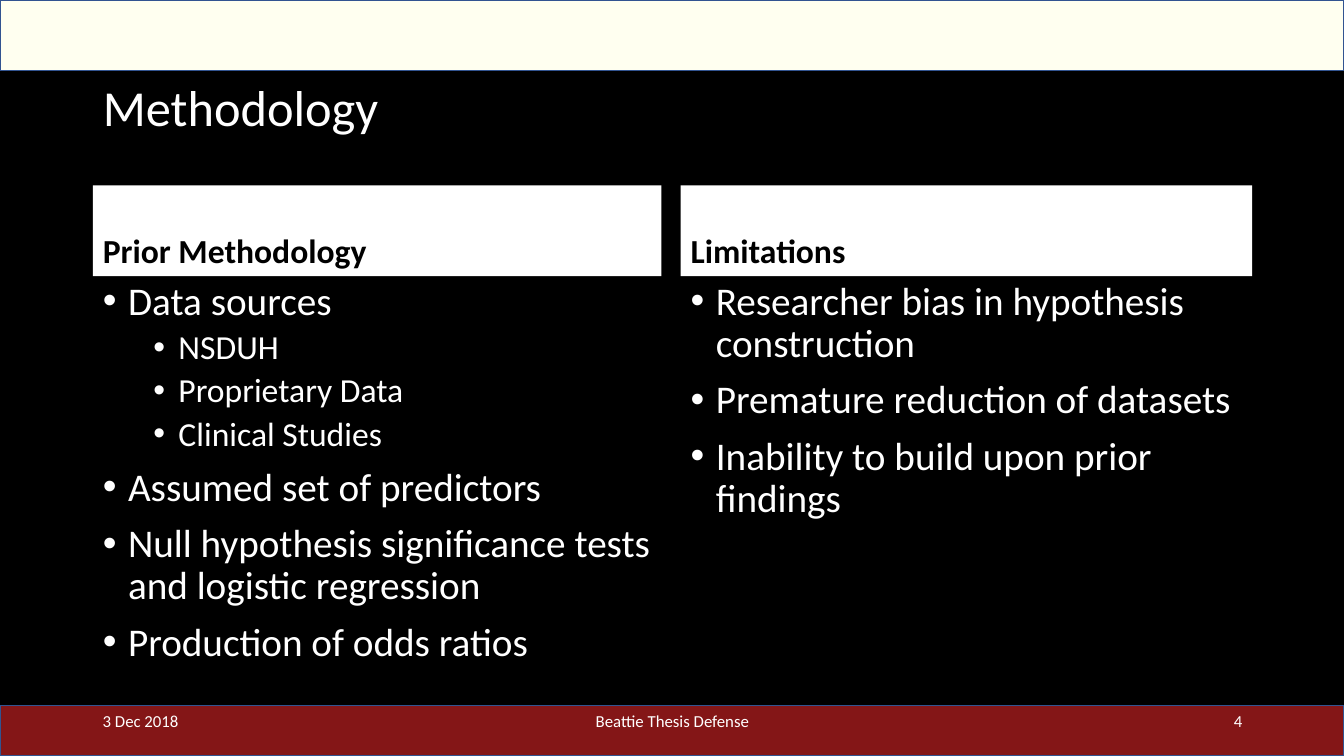
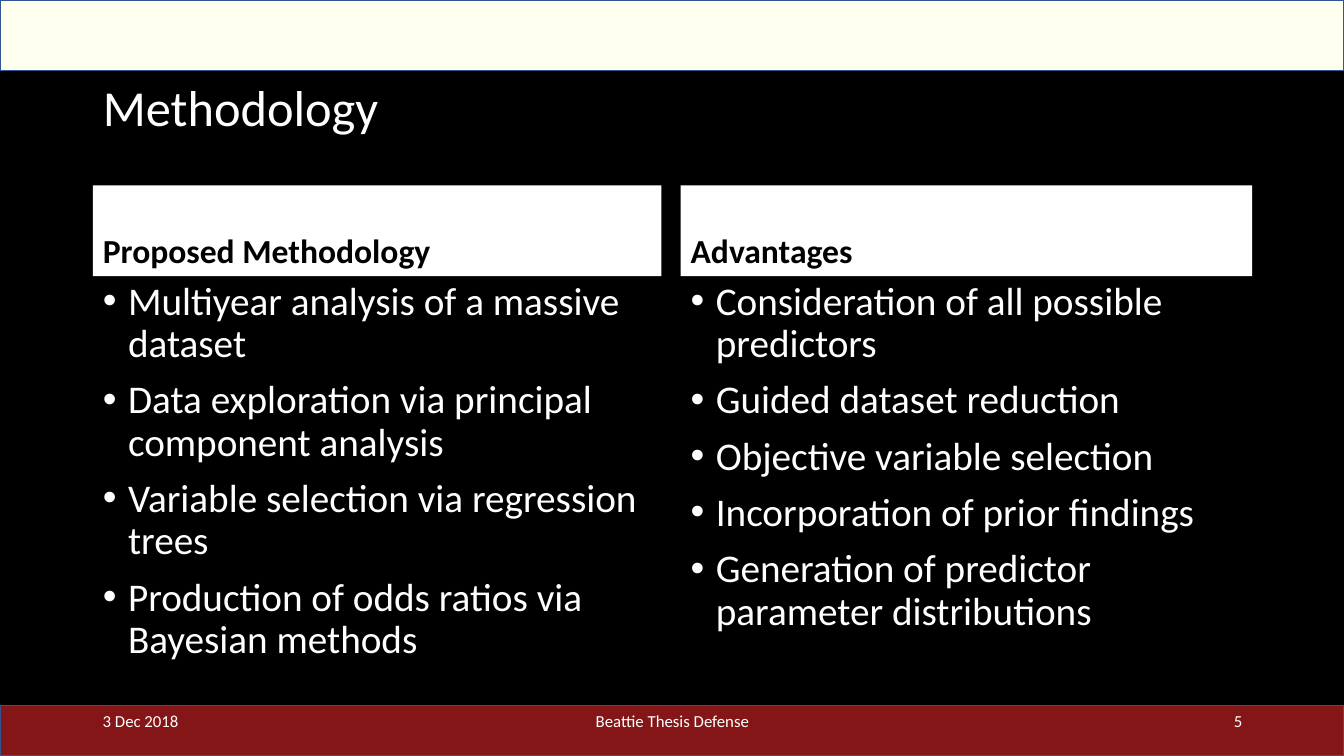
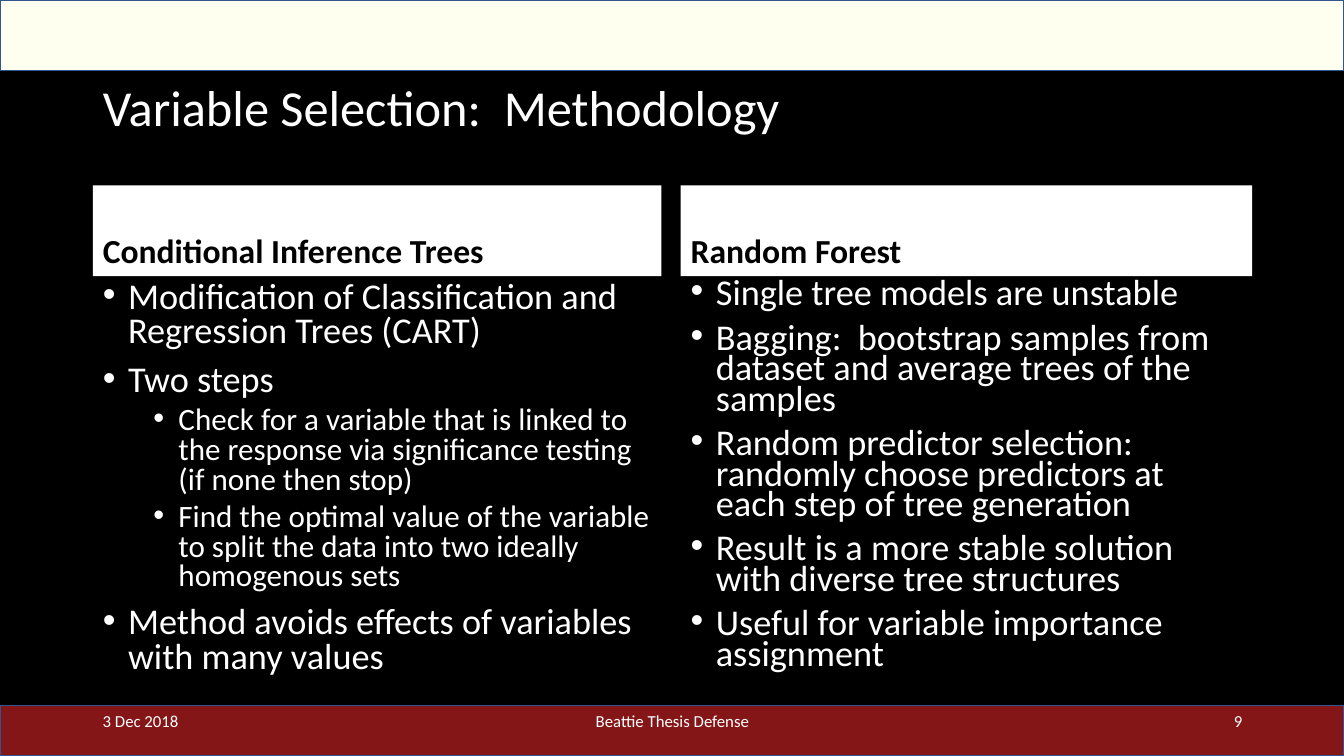
from dataclasses import dataclass

from lxml.etree import SubElement
from pptx import Presentation
from pptx.dml.color import RGBColor
from pptx.enum.shapes import MSO_SHAPE
from pptx.enum.text import MSO_ANCHOR, MSO_AUTO_SIZE, PP_ALIGN
from pptx.oxml.ns import qn
from pptx.presentation import Presentation as Deck
from pptx.slide import Slide, SlideLayout
from pptx.text.text import TextFrame
from pptx.util import Inches, Pt


@dataclass(frozen=True)
class Theme:
    font: str = "Calibri"
    background: RGBColor = RGBColor(0x00, 0x00, 0x00)
    light: RGBColor = RGBColor(0xFF, 0xFF, 0xFF)
    dark: RGBColor = RGBColor(0x00, 0x00, 0x00)
    top_band: RGBColor = RGBColor(0xFF, 0xFF, 0xF0)
    bottom_band: RGBColor = RGBColor(0x84, 0x16, 0x17)
    band_line: RGBColor = RGBColor(0x32, 0x54, 0x91)
    title_size: float = 36
    heading_size: float = 24
    bullet_sizes: tuple[float, float] = (28, 24)
    tight_bullet_sizes: tuple[float, float] = (25.9, 22.2)
    footer_size: float = 12


@dataclass(frozen=True)
class Box:
    left: float
    top: float
    width: float
    height: float

    def lengths(self) -> tuple[Inches, Inches, Inches, Inches]:
        return Inches(self.left), Inches(self.top), Inches(self.width), Inches(self.height)


@dataclass(frozen=True)
class Style:
    size: float
    color: RGBColor
    bold: bool = False
    alignment: PP_ALIGN = PP_ALIGN.LEFT
    line_spacing: float = 1.0
    space_before: float = 0


@dataclass(frozen=True)
class Bullet:
    text: str
    level: int = 0


@dataclass(frozen=True)
class Column:
    heading: str
    bullets: list[Bullet]
    sizes: tuple[float, float]
    line_spacing: float = 0.9


@dataclass(frozen=True)
class Comparison:
    title: str
    number: int
    columns: tuple[Column, Column]


@dataclass(frozen=True)
class FooterItem:
    text: str
    left: float
    width: float
    alignment: PP_ALIGN


THEME = Theme()
SLIDE_WIDTH, SLIDE_HEIGHT = 13.33, 7.5
MARGIN = 0.92
HEADING_TOP, HEADING_HEIGHT, LIST_HEIGHT = 1.84, 0.9, 4.03
COLUMN_SPANS = ((MARGIN, 5.64), (6.75, 5.67))
TITLE_BOX = Box(MARGIN, 0.77, 11.5, 0.82)
BANDS = (
    (Box(0, 7, SLIDE_WIDTH, 0.5), THEME.bottom_band),
    (Box(0, 0, SLIDE_WIDTH, 0.7), THEME.top_band),
)
COMPARISON_LAYOUT = 4
HEADING_INDEXES, LIST_INDEXES = (1, 3), (2, 4)

SLIDES = [
    Comparison("Methodology", 4, (
        Column("Prior Methodology", [
            Bullet("Data sources"),
            Bullet("NSDUH", 1),
            Bullet("Proprietary Data", 1),
            Bullet("Clinical Studies", 1),
            Bullet("Assumed set of predictors"),
            Bullet("Null hypothesis significance tests and logistic regression"),
            Bullet("Production of odds ratios"),
        ], THEME.bullet_sizes),
        Column("Limitations", [
            Bullet("Researcher bias in hypothesis construction"),
            Bullet("Premature reduction of datasets"),
            Bullet("Inability to build upon prior findings"),
        ], THEME.bullet_sizes),
    )),
    Comparison("Methodology", 5, (
        Column("Proposed Methodology", [
            Bullet("Multiyear analysis of a massive dataset"),
            Bullet("Data exploration via principal component analysis"),
            Bullet("Variable selection via regression trees"),
            Bullet("Production of odds ratios via Bayesian methods"),
        ], THEME.bullet_sizes),
        Column("Advantages", [
            Bullet("Consideration of all possible predictors"),
            Bullet("Guided dataset reduction"),
            Bullet("Objective variable selection"),
            Bullet("Incorporation of prior findings"),
            Bullet("Generation of predictor parameter distributions"),
        ], THEME.bullet_sizes),
    )),
    Comparison("Variable Selection:  Methodology", 9, (
        Column("Conditional Inference Trees", [
            Bullet("Modification of Classification and Regression Trees (CART)"),
            Bullet("Two steps"),
            Bullet("Check for a variable that is linked to the response via "
                   "significance testing (if none then stop)", 1),
            Bullet("Find the optimal value of the variable to split the data into "
                   "two ideally homogenous sets", 1),
            Bullet("Method avoids effects of variables with many values"),
        ], THEME.tight_bullet_sizes, 0.8),
        Column("Random Forest", [
            Bullet("Single tree models are unstable"),
            Bullet("Bagging:  bootstrap samples from dataset and average trees of the samples"),
            Bullet("Random predictor selection:  randomly choose predictors at "
                   "each step of tree generation"),
            Bullet("Result is a more stable solution with diverse tree structures"),
            Bullet("Useful for variable importance assignment"),
        ], THEME.tight_bullet_sizes, 0.7),
    )),
]


def prepare_frame(frame: TextFrame, anchor: MSO_ANCHOR) -> None:
    frame.word_wrap = True
    frame.auto_size = MSO_AUTO_SIZE.NONE
    frame.vertical_anchor = anchor


def write_paragraph(frame: TextFrame, position: int, text: str, style: Style,
                    bullet_level: int | None = None) -> None:
    """Write the paragraph at a position; without a bullet level it has no indent."""
    paragraph = frame.add_paragraph() if position else frame.paragraphs[0]
    paragraph.alignment = style.alignment
    paragraph.line_spacing = style.line_spacing
    paragraph.space_before = Pt(style.space_before)
    run = paragraph.add_run()
    run.text = text
    run.font.name = THEME.font
    run.font.size = Pt(style.size)
    run.font.bold = style.bold
    run.font.color.rgb = style.color

    margin, indent = 0.0, 0.0
    if bullet_level is not None:
        paragraph.level = bullet_level
        margin, indent = 0.25 + 0.5 * bullet_level, -0.25
    properties = paragraph._p.get_or_add_pPr()
    properties.set("marL", str(Inches(margin)))
    properties.set("indent", str(Inches(indent)))
    if bullet_level is not None:
        SubElement(properties, qn("a:buFont"), typeface="Arial")
        SubElement(properties, qn("a:buChar"), char="•")


def set_up_layout(layout: SlideLayout) -> None:
    """Give the layout's title, headings and lists their shared places."""
    boxes = {0: TITLE_BOX}
    for (left, width), heading, bullets in zip(COLUMN_SPANS, HEADING_INDEXES, LIST_INDEXES):
        boxes[heading] = Box(left, HEADING_TOP, width, HEADING_HEIGHT)
        boxes[bullets] = Box(left, HEADING_TOP + HEADING_HEIGHT, width, LIST_HEIGHT)
    for placeholder in layout.placeholders:
        box = boxes.get(placeholder.placeholder_format.idx)
        if box:
            (placeholder.left, placeholder.top,
             placeholder.width, placeholder.height) = box.lengths()


def add_master_bands(presentation: Deck, slide: Slide) -> None:
    """Draw the bands on a slide, then move them behind everything on the master."""
    master_tree = presentation.slide_master.shapes.element
    for position, (box, color) in enumerate(BANDS):
        band = slide.shapes.add_shape(MSO_SHAPE.RECTANGLE, *box.lengths())
        band.shadow.inherit = False
        band.fill.solid()
        band.fill.fore_color.rgb = color
        band.line.color.rgb = THEME.band_line
        band.line.width = Pt(1)
        band.element.nvSpPr.cNvPr.set("id", str(100 + position))
        master_tree.insert(2 + position, band.element)


def fill_title(slide: Slide, title: str) -> None:
    frame = slide.shapes.title.text_frame
    prepare_frame(frame, MSO_ANCHOR.TOP)
    write_paragraph(frame, 0, title, Style(THEME.title_size, THEME.light, line_spacing=0.9))


def fill_column(slide: Slide, column: Column, heading_index: int, list_index: int) -> None:
    placeholders = {item.placeholder_format.idx: item for item in slide.placeholders}
    heading = placeholders[heading_index]
    heading.fill.solid()
    heading.fill.fore_color.rgb = THEME.light
    prepare_frame(heading.text_frame, MSO_ANCHOR.BOTTOM)
    write_paragraph(heading.text_frame, 0, column.heading,
                    Style(THEME.heading_size, THEME.dark, bold=True,
                          line_spacing=0.9, space_before=10))

    frame = placeholders[list_index].text_frame
    prepare_frame(frame, MSO_ANCHOR.TOP)
    for position, bullet in enumerate(column.bullets):
        style = Style(column.sizes[bullet.level], THEME.light,
                      line_spacing=column.line_spacing,
                      space_before=5 if bullet.level else 10)
        write_paragraph(frame, position, bullet.text, style, bullet.level)


def add_footer(slide: Slide, number: int) -> None:
    items = (
        FooterItem("3 Dec 2018", MARGIN, 3, PP_ALIGN.LEFT),
        FooterItem("Beattie Thesis Defense", 4.42, 4.5, PP_ALIGN.CENTER),
        FooterItem(str(number), 9.42, 3, PP_ALIGN.RIGHT),
    )
    for item in items:
        box = Box(item.left, 6.95, item.width, 0.4)
        frame = slide.shapes.add_textbox(*box.lengths()).text_frame
        prepare_frame(frame, MSO_ANCHOR.MIDDLE)
        write_paragraph(frame, 0, item.text,
                        Style(THEME.footer_size, THEME.light, alignment=item.alignment))


def main() -> None:
    presentation = Presentation()
    presentation.slide_width = Inches(SLIDE_WIDTH)
    presentation.slide_height = Inches(SLIDE_HEIGHT)
    background = presentation.slide_master.background.fill
    background.solid()
    background.fore_color.rgb = THEME.background
    layout = presentation.slide_layouts[COMPARISON_LAYOUT]
    set_up_layout(layout)

    for content in SLIDES:
        slide = presentation.slides.add_slide(layout)
        fill_title(slide, content.title)
        for column, heading, bullets in zip(content.columns, HEADING_INDEXES, LIST_INDEXES):
            fill_column(slide, column, heading, bullets)
        add_footer(slide, content.number)
    add_master_bands(presentation, presentation.slides[0])
    presentation.save("out.pptx")


if __name__ == "__main__":
    main()
